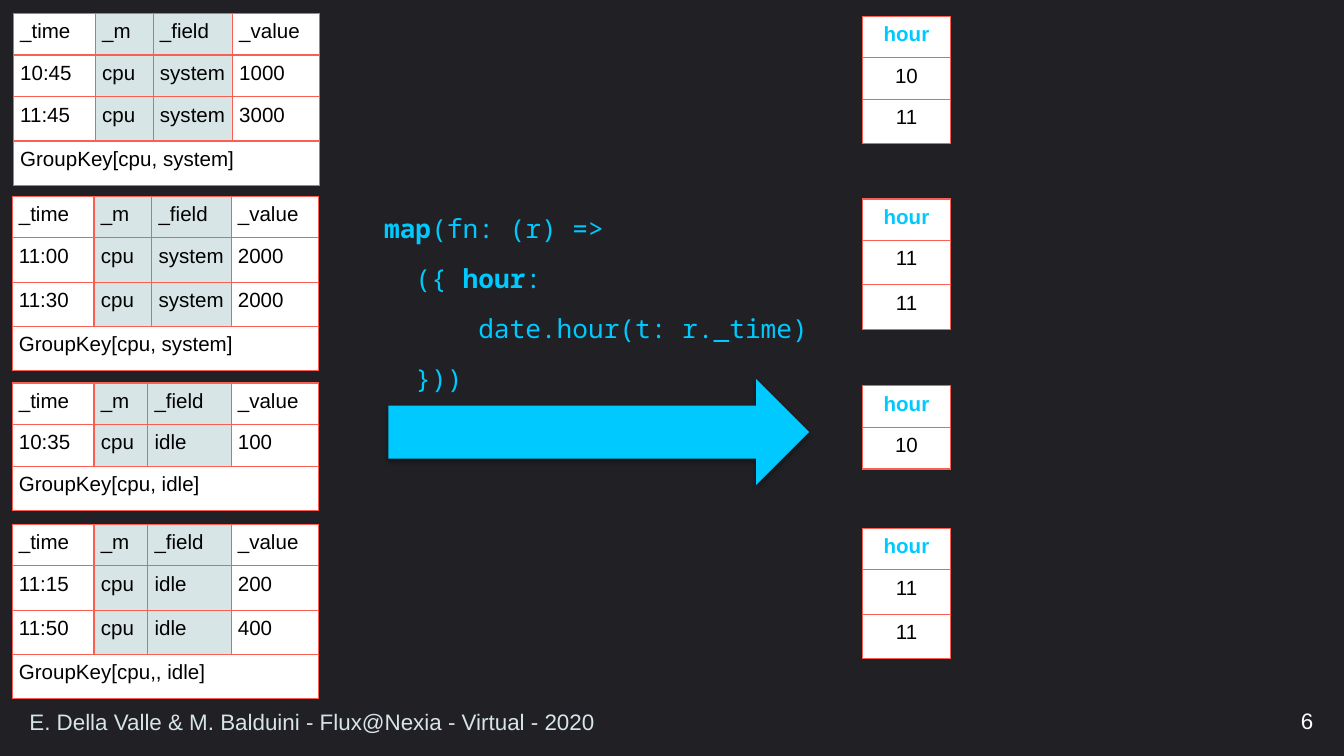
from lxml import etree
from pptx import Presentation
from pptx.dml.color import RGBColor
from pptx.enum.shapes import MSO_SHAPE as Shape
from pptx.enum.text import MSO_ANCHOR as Anchor, PP_ALIGN as Align
from pptx.oxml import parse_xml
from pptx.oxml.ns import nsdecls, qn
from pptx.util import Inches, Pt

DARK = RGBColor(0x20, 0x20, 0x25)
CYAN = RGBColor(0x00, 0xC9, 0xFF)
MIST = RGBColor(0xD7, 0xE5, 0xE6)
CORAL = RGBColor(0xF9, 0x5F, 0x53)
WHITE = RGBColor(0xFF, 0xFF, 0xFF)
BLACK = RGBColor(0x00, 0x00, 0x00)

HEADER = ["_time", "_m", "_field", "_value"]
SYSTEM_COLUMNS = [0.61, 0.43, 0.59, 0.65]
IDLE_COLUMNS = [0.61, 0.40, 0.62, 0.65]

# Each group: left, top, top of its hour table, number of short rows,
# column widths, field, (time, value) records, group key
GROUPS = [
    (0.09, 1.46, 1.48, 1, SYSTEM_COLUMNS, "system",
     [("11:00", "2000"), ("11:30", "2000")], "GroupKey[cpu, system]"),
    (0.09, 3.90, 3.93, 1, IDLE_COLUMNS, "idle",
     [("11:15", "200"), ("11:50", "400")], "GroupKey[cpu,, idle]"),
    (0.10, 0.10, 0.12, 2, SYSTEM_COLUMNS, "system",
     [("10:45", "1000"), ("11:45", "3000")], "GroupKey[cpu, system]"),
    (0.09, 2.85, 2.87, 2, IDLE_COLUMNS, "idle",
     [("10:35", "100")], "GroupKey[cpu, idle]"),
]

# Lines of (text, bold) runs
CODE = [
    [("map", True), ("(fn: (r) => ", False)],
    [("  ({ ", False), ("hour", True), (": ", False)],
    [("      date.hour(t: r._time) ", False)],
    [("  }))", False)],
]


class SlideBuilder:
    font = "Arial"
    code_font = "Noto Sans Mono"
    short_row, tall_row = 0.31, 0.33
    cell_margin = Inches(0.05)

    def __init__(self, presentation):
        self.slide = presentation.slides.add_slide(presentation.slide_layouts[6])
        fill = self.slide.background.fill
        fill.solid()
        fill.fore_color.rgb = DARK

    def run(self, paragraph, text, size, color, bold=False, font=None):
        run = paragraph.add_run()
        run.text = text
        run.font.name = font or self.font
        run.font.size = Pt(size)
        run.font.bold = bold
        run.font.color.rgb = color

    def text_box(self, left, top, width, height, anchor=Anchor.TOP):
        """Add an empty wrapping box and return its first paragraph."""
        box = self.slide.shapes.add_textbox(
            Inches(left), Inches(top), Inches(width), Inches(height))
        box.text_frame.word_wrap = True
        box.text_frame.vertical_anchor = anchor
        return box.text_frame.paragraphs[0]

    def label(self, left, top, width, height, text, color, align=Align.LEFT):
        paragraph = self.text_box(left, top, width, height, Anchor.MIDDLE)
        paragraph.alignment = align
        self.run(paragraph, text, 12, color)

    def code(self, left, top, width, height, lines):
        paragraph = self.text_box(left, top, width, height)
        paragraph.line_spacing = 1.6
        for index, line in enumerate(lines):
            if index:
                paragraph.add_line_break()
            for text, bold in line:
                self.run(paragraph, text, 14, CYAN, bold, self.code_font)

    def arrow(self, left, top, width, height):
        """Add an up arrow turned to point right, with a soft shadow."""
        arrow = self.slide.shapes.add_shape(
            Shape.UP_ARROW, Inches(left), Inches(top), Inches(width), Inches(height))
        arrow.rotation = 90
        arrow.fill.solid()
        arrow.fill.fore_color.rgb = CYAN
        arrow.line.fill.background()
        arrow.shadow.inherit = False
        effects = arrow.element.spPr.find(qn("a:effectLst"))
        effects.append(parse_xml(
            f'<a:outerShdw {nsdecls("a")} blurRad="{Pt(3.1)}" dist="{Pt(1.6)}" '
            'dir="5400000" rotWithShape="0"><a:srgbClr val="000000">'
            '<a:alpha val="38000"/></a:srgbClr></a:outerShdw>'))

    def border(self, cell):
        properties = cell._tc.get_or_add_tcPr()
        for side in ("a:lnL", "a:lnR", "a:lnT", "a:lnB"):
            line = etree.SubElement(properties, qn(side), w=str(Pt(0.75)))
            fill = etree.SubElement(line, qn("a:solidFill"))
            etree.SubElement(fill, qn("a:srgbClr"), val=str(CORAL))

    def cell(self, cell, text, fill=WHITE, color=BLACK, bold=False, align=Align.LEFT):
        self.border(cell)
        cell.fill.solid()
        cell.fill.fore_color.rgb = fill
        cell.margin_left = cell.margin_right = self.cell_margin
        cell.margin_top = cell.margin_bottom = self.cell_margin
        if text:
            paragraph = cell.text_frame.paragraphs[0]
            paragraph.alignment = align
            self.run(paragraph, text, 11, color, bold)

    def table(self, left, top, columns, row_count, short_rows):
        """Add an unstyled table whose first rows are the short ones."""
        heights = [self.short_row if row < short_rows else self.tall_row
                   for row in range(row_count)]
        table = self.slide.shapes.add_table(
            row_count, len(columns), Inches(left), Inches(top),
            Inches(sum(columns)), Inches(sum(heights))).table
        table.first_row = table.horz_banding = False
        for column, width in zip(table.columns, columns):
            column.width = Inches(width)
        for row, height in zip(table.rows, heights):
            row.height = Inches(height)
        return table

    def group_table(self, left, top, short_rows, columns, field, records, key):
        rows = [HEADER]
        rows += [[time, "cpu", field, value] for time, value in records]
        table = self.table(left, top, columns, len(rows) + 1, short_rows)
        for row, texts in enumerate(rows):
            for column, text in enumerate(texts):
                self.cell(table.cell(row, column), text,
                          MIST if column in (1, 2) else WHITE)
        last = len(rows)
        table.cell(last, 0).merge(table.cell(last, 3))
        for column, text in enumerate([key, "", "", ""]):
            self.cell(table.cell(last, column), text)

    def hour_table(self, left, top, short_rows, records):
        table = self.table(left, top, [0.65], len(records) + 1, short_rows)
        self.cell(table.cell(0, 0), "hour", color=CYAN, bold=True, align=Align.CENTER)
        for row, (time, _) in enumerate(records, 1):
            self.cell(table.cell(row, 0), time.split(":")[0], align=Align.CENTER)


def main():
    presentation = Presentation()
    presentation.slide_width = Inches(10)
    presentation.slide_height = presentation.slide_width * 9 // 16
    builder = SlideBuilder(presentation)

    builder.arrow(4.06, 1.65, 0.79, 3.13)
    builder.code(2.76, 1.39, 3.83, 1.57, CODE)
    builder.label(0.12, 5.22, 7.45, 0.29,
                  "E. Della Valle & M. Balduini - Flux@Nexia - Virtual - 2020", MIST)
    builder.label(7.62, 5.21, 2.25, 0.3, "6", WHITE, Align.RIGHT)

    for left, top, _, short_rows, columns, field, records, key in GROUPS:
        builder.group_table(left, top, short_rows, columns, field, records, key)
    for _, _, hour_top, short_rows, _, _, records, _ in GROUPS:
        builder.hour_table(6.42, hour_top, short_rows, records)

    presentation.save("out.pptx")


if __name__ == "__main__":
    main()
